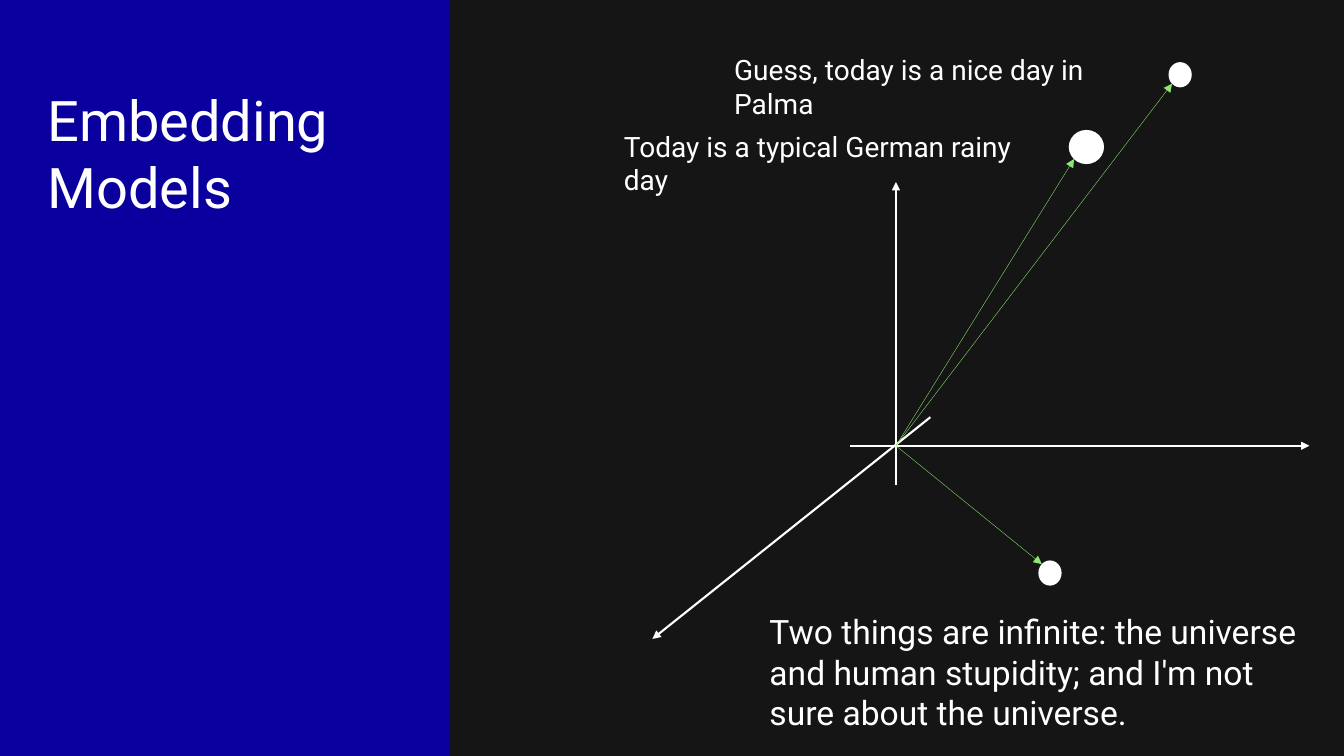
import pptx
import pptx.dml.color
import pptx.enum.shapes
import pptx.enum.text
import pptx.oxml
import pptx.oxml.ns
import pptx.util

Pt = pptx.util.Pt
RGB = pptx.dml.color.RGBColor
Shape = pptx.enum.shapes.MSO_SHAPE
DARK = RGB(0x15, 0x15, 0x15)
BLUE = RGB(0x09, 0x00, 0x9E)
WHITE = RGB(0xFF, 0xFF, 0xFF)
GREEN = RGB(0x8C, 0xE8, 0x71)
FONT = "Roboto"


class Page:
    def __init__(self, deck):
        self.slide = deck.slides.add_slide(deck.slide_layouts[6])
        fill = self.slide.background.fill
        fill.solid()
        fill.fore_color.rgb = DARK

    def shape(self, kind, box, color):
        item = self.slide.shapes.add_shape(kind, *map(Pt, box))
        item.shadow.inherit = False
        item.fill.solid()
        item.fill.fore_color.rgb = color
        item.line.fill.background()

    def text(self, box, words, size, inset=(0, 0)):
        frame = self.slide.shapes.add_textbox(*map(Pt, box)).text_frame
        frame.word_wrap = True
        frame.vertical_anchor = pptx.enum.text.MSO_ANCHOR.TOP
        frame.margin_left = frame.margin_right = Pt(inset[0])
        frame.margin_top = frame.margin_bottom = Pt(inset[1])
        line = frame.paragraphs[0]
        line.text = words
        line.font.name = FONT
        line.font.size = Pt(size)
        line.font.color.rgb = WHITE

    def arrow(self, start, end, color, width):
        kind = pptx.enum.shapes.MSO_CONNECTOR.STRAIGHT
        item = self.slide.shapes.add_connector(kind, *map(Pt, start + end))
        item.line.color.rgb = color
        item.line.width = Pt(width)
        tag = pptx.oxml.ns.qn
        props = item.element.spPr
        head = props.find(tag("a:ln")).makeelement(tag("a:tailEnd"), {"type": "triangle"})
        props.find(tag("a:ln")).append(head)
        props.append(props.makeelement(tag("a:effectLst"), {}))


def main():
    deck = pptx.Presentation()
    deck.slide_width = Pt(960)
    deck.slide_height = Pt(540)
    page = Page(deck)

    page.shape(Shape.RECTANGLE, (0, 0, 321, 540), BLUE)
    page.text((26.9, 57.6, 279.4, 239.8), "Embedding Models", 40, (7.2, 3.6))

    center = (640, 318.4)
    axes = [
        ((640, 346.4), (640, 130)),
        ((607, 318.4), (935.3, 318.4)),
        ((664.6, 298), (466, 456.4)),
    ]
    for start, end in axes:
        page.arrow(start, end, WHITE, 1.5)

    notes = [
        ((524.4, 37.6, 308, 49), "Guess, today is a nice day in Palma", 20),
        ((445.7, 92.3, 310, 49), "Today is a typical German rainy day", 20),
        (
            (549.6, 436.6, 395.3, 87),
            "Two things are infinite: the universe and human stupidity; "
            "and I'm not sure about the universe.",
            24,
        ),
    ]
    for box, words, size in notes:
        page.text(box, words, size)

    points = [
        ((834.7, 44.4, 16.6, 18), (837.2, 59.8)),
        ((763.4, 92.8, 25.2, 24.4), (767.2, 113.6)),
        ((741.7, 400.3, 16.6, 18), (744.2, 403)),
    ]
    for box, tip in points:
        page.shape(Shape.OVAL, box, WHITE)
        page.arrow(center, tip, GREEN, 0.25)

    deck.save("out.pptx")


if __name__ == "__main__":
    main()
